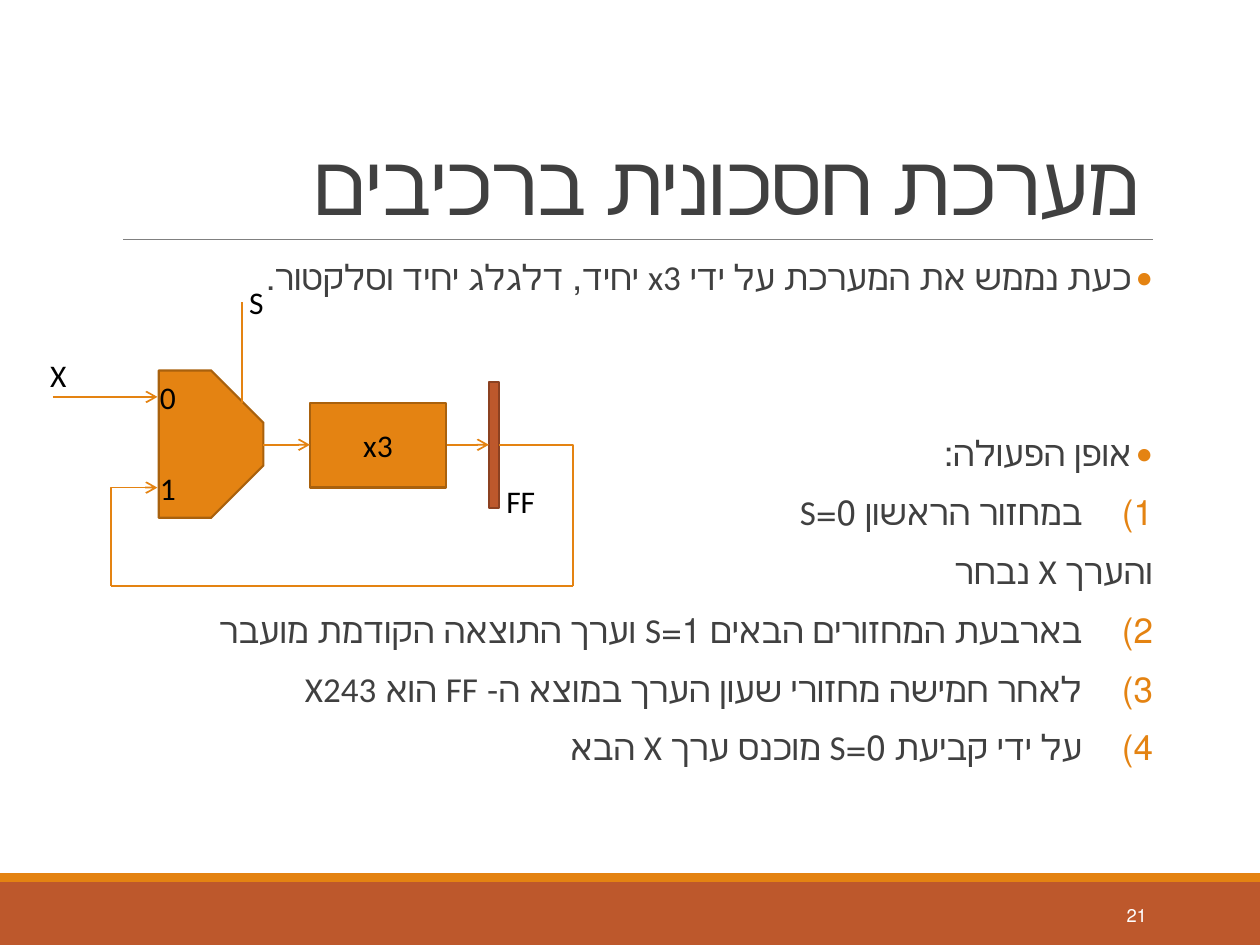
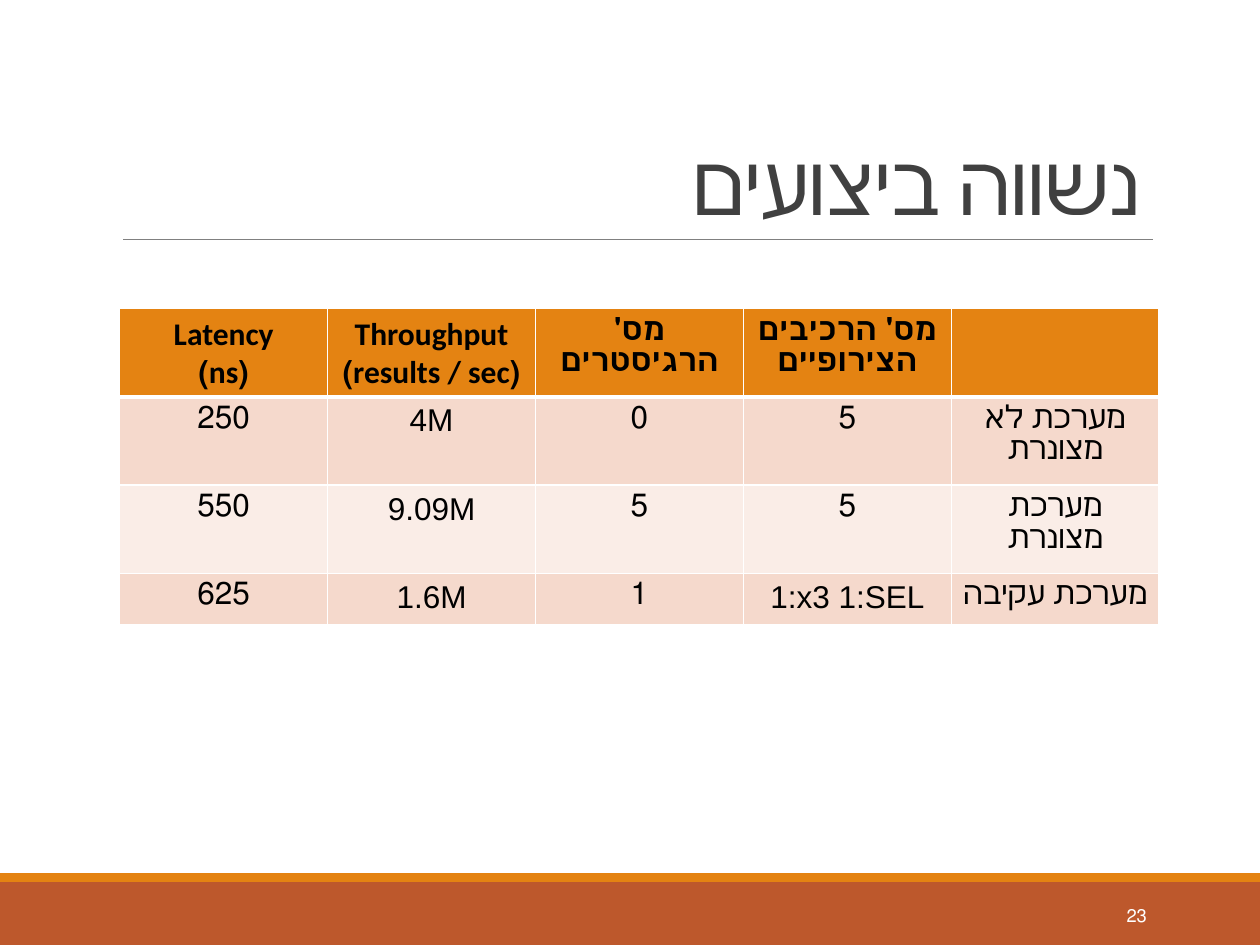
from lxml import etree
from pptx import Presentation
from pptx.dml.color import RGBColor
from pptx.enum.shapes import MSO_CONNECTOR, MSO_SHAPE, MSO_SHAPE_TYPE
from pptx.enum.text import MSO_ANCHOR, MSO_AUTO_SIZE, PP_ALIGN
from pptx.oxml.ns import qn
from pptx.util import Inches, Pt

RECTANGLE, SNIPPED = MSO_SHAPE.RECTANGLE, MSO_SHAPE.SNIP_2_SAME_RECTANGLE
STRAIGHT = MSO_CONNECTOR.STRAIGHT
LEFT, CENTER, RIGHT = PP_ALIGN.LEFT, PP_ALIGN.CENTER, PP_ALIGN.RIGHT
MIDDLE, BOTTOM = MSO_ANCHOR.MIDDLE, MSO_ANCHOR.BOTTOM

ORANGE, RUST, GREY = "E48312", "BD582C", "404040"
BLACK, WHITE = "000000", "FFFFFF"


def color(hex_code):
    return RGBColor.from_string(hex_code)


def format_text(frame, size, hex_code, align, rtl=False, font="Calibri", bold=False):
    for paragraph in frame.paragraphs:
        paragraph.alignment = align
        if rtl:
            paragraph._p.get_or_add_pPr().set("rtl", "1")
        for run in paragraph.runs:
            run.font.size = Pt(size)
            run.font.name = font
            run.font.bold = bold
            run.font.color.rgb = color(hex_code)


deck = Presentation()
deck.slide_width, deck.slide_height = Inches(10), Inches(7.5)

# Shared frame: bands, title with its rule, page number
for heading, page in [("מערכת חסכונית ברכיבים", "21"), ("נשווה ביצועים", "23")]:
    slide = deck.slides.add_slide(deck.slide_layouts[5])
    for top, height, band_color in [(7, 0.5, RUST), (6.93, 0.07, ORANGE)]:
        band = slide.shapes.add_shape(
            RECTANGLE, 0, Inches(top), Inches(10), Inches(height))
        band.fill.solid()
        band.fill.fore_color.rgb = color(band_color)
        band.line.fill.background()

    title_rule = slide.shapes.add_connector(
        STRAIGHT, Inches(0.98), Inches(1.9), Inches(9.15), Inches(1.9))
    title_rule.line.color.rgb = color("808080")
    title_rule.line.width = Pt(0.5)

    title = slide.shapes.title
    title.left, title.top = Inches(0.9), Inches(0.31)
    title.width, title.height = Inches(8.25), Inches(1.59)
    title.text_frame.text = heading
    title.text_frame.auto_size = MSO_AUTO_SIZE.NONE
    title.text_frame.vertical_anchor = BOTTOM
    format_text(title.text_frame, 48, GREY, RIGHT, rtl=True)
    title_line = title.text_frame.paragraphs[0]
    title_line.line_spacing = 0.85
    title_line.runs[0].font._element.set("spc", "-50")

    page_number = slide.shapes.add_textbox(
        Inches(8.12), Inches(7.06), Inches(1.08), Inches(0.4)).text_frame
    page_number.word_wrap = True
    page_number.vertical_anchor = MIDDLE
    page_number.text = page
    format_text(page_number, 10.5, WHITE, RIGHT, rtl=True)

circuit_slide, comparison_slide = deck.slides

# Slide 1: explanation, as (text, space before, hanging indent, bullet, its attributes)
DOT, NUMBER = "a:buChar", "a:buAutoNum"
first_step = {"type": "arabicParenR"}
later_step = {"type": "arabicParenR", "startAt": "2"}
explanation = [
    ("כעת נממש את המערכת על ידי x3 יחיד, דלגלג יחיד וסלקטור.", 12, 0.17, DOT, {"char": "•"}),
    ("אופן הפעולה:", 79, 0.17, DOT, {"char": "•"}),
    ("במחזור הראשון 0=S", 12, 0.56, NUMBER, first_step),
    ("והערך X נבחר", 12, 0.56, None, {}),
    ("בארבעת המחזורים הבאים 1=S וערך התוצאה הקודמת מועבר", 12, 0.56, NUMBER, later_step),
    ("לאחר חמישה מחזורי שעון הערך במוצא ה- FF הוא X243", 12, 0.56, NUMBER, later_step),
    ("על ידי קביעת 0=S מוכנס ערך X הבא", 12, 0.56, NUMBER, later_step),
]
body = circuit_slide.shapes.add_textbox(
    Inches(0.9), Inches(2.02), Inches(8.25), Inches(4.4)).text_frame
body.word_wrap = True
body.margin_left = body.margin_right = 0
body.text = "\n".join(item[0] for item in explanation)
format_text(body, 20, GREY, RIGHT, rtl=True)
for paragraph, (_, space, indent, bullet, attributes) in zip(body.paragraphs, explanation):
    paragraph.line_spacing = 0.9
    paragraph.space_before = Pt(space)
    properties = paragraph._p.get_or_add_pPr()
    properties.set("marR", "0")
    properties.set("marL", str(Inches(indent)))
    properties.set("indent", str(-Inches(indent)))
    if bullet:
        bullet_color = etree.SubElement(properties, qn("a:buClr"))
        etree.SubElement(bullet_color, qn("a:srgbClr"), val=ORANGE)
        etree.SubElement(properties, qn("a:buFont"), typeface="Calibri")
        etree.SubElement(properties, qn(bullet), **attributes)

# Slide 1: selector, multiplier and flip-flop
for preset, left, top, width, height, turn, fill, outline, label in [
    (SNIPPED, 1.09, 3.11, 1.17, 0.83, 90, ORANGE, "A9610D", ""),
    (RECTANGLE, 2.46, 3.2, 1.08, 0.67, 0, ORANGE, "A9610D", "x3"),
    (RECTANGLE, 3.88, 3.03, 0.08, 1, 0, RUST, "8C4121", ""),
]:
    component = circuit_slide.shapes.add_shape(
        preset, Inches(left), Inches(top), Inches(width), Inches(height))
    component.rotation = turn
    component.fill.solid()
    component.fill.fore_color.rgb = color(fill)
    component.line.color.rgb = color(outline)
    component.line.width = Pt(1.25)
    if preset == SNIPPED:
        component.adjustments[0], component.adjustments[1] = 0.5, 0
    if label:
        component.text_frame.text = label
        component.text_frame.vertical_anchor = MIDDLE
        format_text(component.text_frame, 18, BLACK, CENTER)

# Slide 1: wires; a bent wire leaves its first point horizontally
for x1, y1, x2, y2, bent, arrowhead in [
    (2.09, 3.53, 2.46, 3.53, False, "a:tailEnd"),
    (3.55, 3.53, 3.88, 3.53, False, "a:tailEnd"),
    (3.96, 3.53, 4.55, 4.65, True, None),
    (4.55, 4.65, 0.88, 4.65, False, None),
    (1.25, 3.87, 0.88, 4.65, True, "a:headEnd"),
    (0.42, 3.15, 1.25, 3.15, False, "a:tailEnd"),
    (1.92, 3.2, 1.92, 2.4, False, None),
]:
    wire = circuit_slide.shapes.add_connector(
        STRAIGHT, Inches(x1), Inches(y1), Inches(x2), Inches(y2))
    wire.line.color.rgb = color(ORANGE)
    wire.line.width = Pt(1)
    if bent:
        wire._element.spPr.find(qn("a:prstGeom")).set("prst", "bentConnector2")
    if arrowhead:
        etree.SubElement(wire.line._get_or_add_ln(), qn(arrowhead), type="arrow")

# Slide 1: signal names
for name, left, top, width in [
    ("FF", 3.92, 3.78, 0.54),
    ("1", 1.17, 3.67, 0.29),
    ("0", 1.17, 2.95, 0.29),
    ("S", 1.88, 2.2, 0.33),
    ("X", 0.3, 2.78, 0.33),
]:
    signal = circuit_slide.shapes.add_textbox(
        Inches(left), Inches(top), Inches(width), Inches(0.4)).text_frame
    signal.word_wrap = True
    signal.text = name
    format_text(signal, 18, BLACK, LEFT)

# Slide 2: performance table
performance = [
    ["Latency\n(ns)", "Throughput\n(results / sec)", "מס' הרגיסטרים",
     "מס' הרכיבים\nהצירופיים", ""],
    ["250", "4M", "0", "5", "מערכת לא מצונרת"],
    ["550", "9.09M", "5", "5", "מערכת מצונרת"],
    ["625", "1.6M", "1", "1:x3 1:SEL", "מערכת עקיבה"],
]
row_fills = [ORANGE, "F5D9CC", "FAEDE7", "F5D9CC"]
row_heights = [0.7, 0.6, 0.6, 0.41]
table = comparison_slide.shapes.add_table(
    4, 5, Inches(0.95), Inches(2.45), Inches(8.25), Inches(sum(row_heights))).table
for column in table.columns:
    column.width = Inches(1.65)
for r, values in enumerate(performance):
    table.rows[r].height = Inches(row_heights[r])
    for c, value in enumerate(values):
        cell = table.cell(r, c)
        cell.margin_left = cell.margin_right = Inches(0.09)
        cell.text_frame.text = value
        left_to_right = r > 0 and (c == 1 or "SEL" in value)
        format_text(cell.text_frame, 18, BLACK, CENTER, rtl=not left_to_right,
                    font="Arial" if r else "Calibri", bold=r == 0)
        # The rule under the header is thicker than the others
        for side in ("L", "R", "T", "B"):
            thick = (r, side) in [(0, "B"), (1, "T")]
            border = etree.SubElement(cell._tc.get_or_add_tcPr(), qn("a:ln" + side),
                                      w=str(Pt(3 if thick else 1)))
            border_fill = etree.SubElement(border, qn("a:solidFill"))
            etree.SubElement(border_fill, qn("a:srgbClr"), val=WHITE)
        cell.fill.solid()
        cell.fill.fore_color.rgb = color(row_fills[r])

# Flat look: no shadows anywhere
for slide in deck.slides:
    for shape in slide.shapes:
        if shape.shape_type == MSO_SHAPE_TYPE.LINE:
            etree.SubElement(shape._element.spPr, qn("a:effectLst"))
        elif shape.shape_type == MSO_SHAPE_TYPE.AUTO_SHAPE:
            shape.shadow.inherit = False

deck.save("out.pptx")
